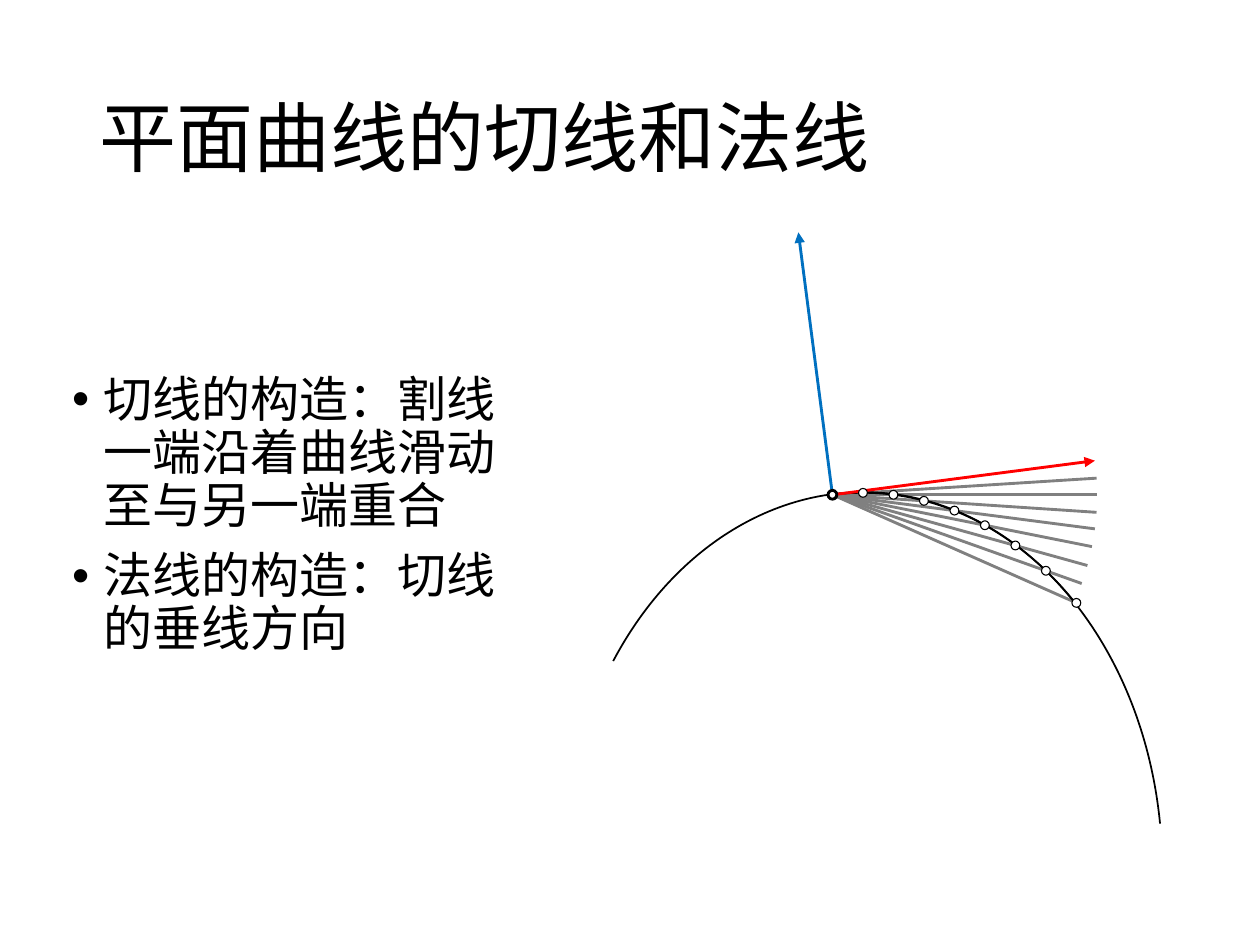
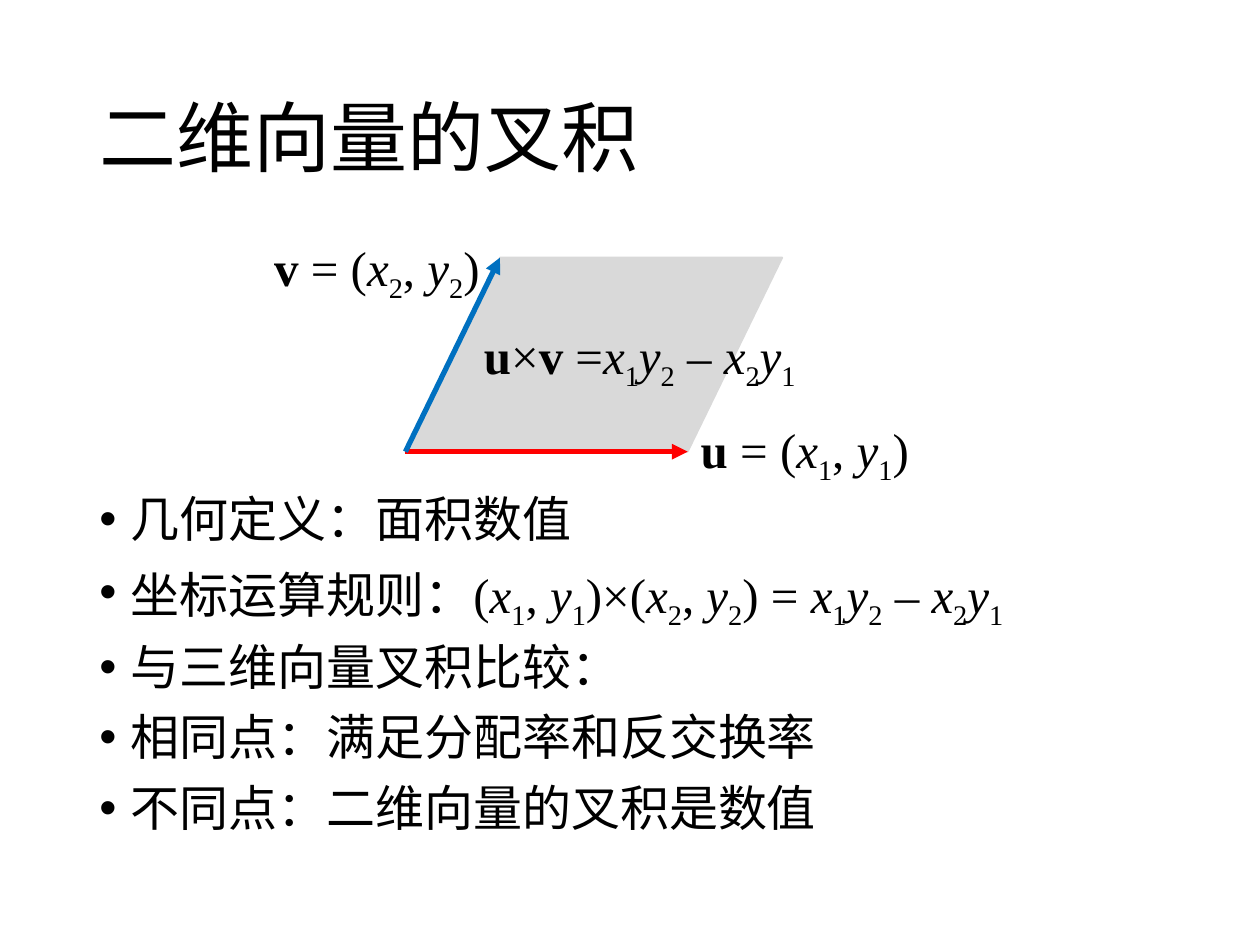
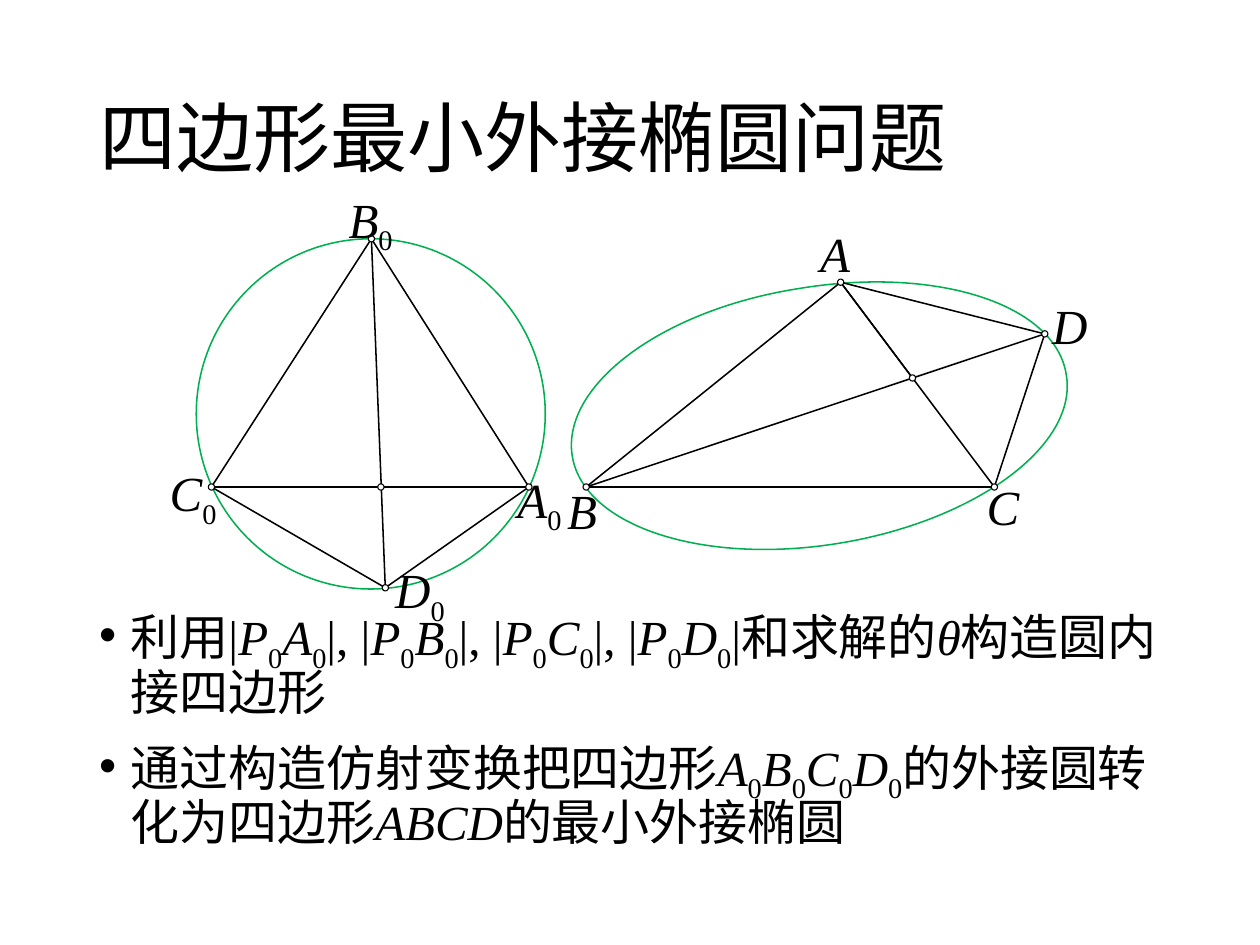
from dataclasses import dataclass
from itertools import combinations, groupby
from math import cos, radians, sin, tan

from lxml import etree
from pptx import Presentation
from pptx.dml.color import RGBColor
from pptx.enum.shapes import MSO_CONNECTOR, MSO_SHAPE
from pptx.enum.text import MSO_ANCHOR, MSO_AUTO_SIZE, PP_ALIGN
from pptx.oxml.ns import qn
from pptx.util import Inches, Pt

STRAIGHT = MSO_CONNECTOR.STRAIGHT
OVAL, PARALLELOGRAM = MSO_SHAPE.OVAL, MSO_SHAPE.PARALLELOGRAM
MIDDLE, LEFT = MSO_ANCHOR.MIDDLE, PP_ALIGN.LEFT
FIXED, GROW = MSO_AUTO_SIZE.NONE, MSO_AUTO_SIZE.SHAPE_TO_FIT_TEXT

COLORS = {"ink": "000000", "paper": "FFFFFF", "secant": "808080", "area": "D9D9D9",
          "red": "FF0000", "blue": "0070C0", "green": "00B050"}
HAN_FONT, FORMULA_FONT = "Noto Sans CJK SC", "Times New Roman"
COLUMNS, ROWS = 100, 75
CELL = Inches(0.1)
TITLE_SIZE, TEXT_SIZE = 44, 28
LINE_SPACING = 0.9


@dataclass
class Box:
    """A region measured in cells of the page grid."""
    left: float
    top: float
    width: float
    height: float

    def point(self, x, y):
        """Return the drawing position of a point given from the box's corner."""
        return round((self.left + x) * CELL), round((self.top + y) * CELL)

    def inner(self, x, y, width, height):
        """Return a box placed from this box's corner."""
        return Box(self.left + x, self.top + y, width, height)

    def frame(self):
        """Return left, top, width and height for a drawn object."""
        return (*self.point(0, 0), round(self.width * CELL), round(self.height * CELL))


TITLE_BOX = Box(6.9, 4, 86.2, 14.5)


def color(name):
    """Look up a colour by its name."""
    return RGBColor.from_string(COLORS[name])


def char_style(char):
    """Tell how a character is set: vectors bold, variables italic, indices low."""
    if char in "uv":
        return "bold"
    if char == "θ" or char.isascii() and char.isalpha():
        return "italic"
    return "index" if char.isdigit() else "plain"


def write(para, text, size=TEXT_SIZE):
    """Fill a paragraph, styling formula letters and indices by rule."""
    styles = [(style, "".join(chars)) for style, chars in groupby(text, char_style)]
    font = para.font
    font.size = Pt(size)
    font.color.rgb = color("ink")
    font.name = HAN_FONT if len(styles) == 1 and styles[0][0] == "plain" else FORMULA_FONT
    etree.SubElement(font._element, qn("a:ea")).set("typeface", HAN_FONT)
    for style, chars in styles:
        span = para.add_run()
        span.text = chars
        if style == "bold":
            span.font.bold = True
        elif style == "italic":
            span.font.italic = True
        elif style == "index":
            span.font._element.set("baseline", "-25000")


def add_page(deck, title):
    """Add a slide with its title placeholder placed and formatted."""
    page = deck.slides.add_slide(deck.slide_layouts[5])
    holder = page.shapes.title
    holder.left, holder.top, holder.width, holder.height = TITLE_BOX.frame()
    frame = holder.text_frame
    frame.auto_size, frame.vertical_anchor = FIXED, MIDDLE
    para = frame.paragraphs[0]
    para.alignment, para.line_spacing = LEFT, LINE_SPACING
    write(para, title, TITLE_SIZE)
    return page


def add_bullets(page, box, lines):
    """Add the bulleted body text."""
    frame = page.shapes.add_textbox(*box.frame()).text_frame
    frame.word_wrap = True
    for index, line in enumerate(lines):
        para = frame.add_paragraph() if index else frame.paragraphs[0]
        para.line_spacing = LINE_SPACING
        if index:
            para.space_before = Pt(10)
        props = para._p.get_or_add_pPr()
        props.set("marL", str(Inches(0.25)))
        props.set("indent", str(-Inches(0.25)))
        etree.SubElement(props, qn("a:buFont")).set("typeface", "Arial")
        etree.SubElement(props, qn("a:buChar")).set("char", "•")
        write(para, line)


def add_label(page, box, text):
    """Add a one-line formula label."""
    frame = page.shapes.add_textbox(*box.frame()).text_frame
    frame.word_wrap, frame.auto_size = False, GROW
    write(frame.paragraphs[0], text)


def add_line(page, start, end, line_color, width, arrow=False):
    """Draw a straight line, with an arrowhead at its end if asked."""
    line = page.shapes.add_connector(STRAIGHT, *start, *end)
    line.line.color.rgb = color(line_color)
    line.line.width = Pt(width)
    if arrow:
        etree.SubElement(line.line._get_or_add_ln(), qn("a:tailEnd")).set("type", "triangle")
    etree.SubElement(line._element.spPr, qn("a:effectLst"))


def style_shape(shape, fill, line_color, width):
    """Set fill and outline and drop the shadow."""
    shape.shadow.inherit = False
    if fill:
        shape.fill.solid()
        shape.fill.fore_color.rgb = color(fill)
    else:
        shape.fill.background()
    shape.line.color.rgb = color(line_color)
    shape.line.width = Pt(width)


def add_dot(page, box, center, size, width=0.63):
    """Draw a small white dot around a point of the box."""
    x, y = center
    area = box.inner(x - size / 2, y - size / 2, size, size)
    style_shape(page.shapes.add_shape(OVAL, *area.frame()), "paper", "ink", width)


def add_curve(page, box, knots, line_color, width, closed=False):
    """Draw a chain of cubic curves; every third knot lies on the curve."""
    points = [box.point(*knot) for knot in knots]
    builder = page.shapes.build_freeform(*points[0])
    builder.add_line_segments(points[1:], close=closed)
    shape = builder.convert_to_shape()
    segments = list(shape._element.iter(qn("a:lnTo")))
    for first in range(0, len(segments), 3):
        curve = etree.Element(qn("a:cubicBezTo"))
        segments[first].addprevious(curve)
        for segment in segments[first:first + 3]:
            curve.append(segment[0])
            segment.getparent().remove(segment)
    style_shape(shape, None, line_color, width)


def draw_tangent(page, box):
    """Draw secants turning into the tangent, with the normal upright on it."""
    root, reach, step, dot = (17.4, 20.8), 21, 2.42, 0.7
    secants = (23.9, 19.6, 15.5, 11.3, 7.4, 3.8, 0, -3.6)
    tangent = -7.4

    def ray(angle, line_color, arrow=False):
        """Draw a line of fixed reach from the root."""
        tip = (root[0] + reach * cos(radians(angle)), root[1] + reach * sin(radians(angle)))
        add_line(page, box.point(*root), box.point(*tip), line_color, 1.63, arrow)

    for angle in secants:
        ray(angle, "secant")
    add_curve(page, box, [(43.4, 46.9), (42.2, 34.5), (35, 24.3), (25.3, 21.4),
                          (15.6, 18.5), (5.5, 23.6), (0, 34)], "ink", 1)
    add_curve(page, box, [(36.6, 29.3), (31.5, 23), (24.5, 19.9), root], "ink", 1)
    ray(tangent, "red", arrow=True)
    ray(tangent - 90, "blue", arrow=True)
    add_dot(page, box, root, dot, 1.63)
    for index, angle in enumerate(secants):
        run = step * (len(secants) - index)
        add_dot(page, box, (root[0] + run, root[1] + run * tan(radians(angle))), dot)


def draw_cross_product(page, box):
    """Draw the parallelogram spanned by two vectors, with its labels."""
    lean = 7.5
    area = page.shapes.add_shape(PARALLELOGRAM, *box.frame())
    area.adjustments[0] = lean / box.height
    style_shape(area, "area", "area", 1)
    origin = box.point(0, box.height)
    add_line(page, origin, box.point(box.width - lean, box.height), "red", 3, arrow=True)
    add_line(page, origin, box.point(lean, 0), "blue", 3, arrow=True)
    for x, y, width, text in ((22.45, 12.35, 19.5, "u = (x1, y1)"),
                              (-11.4, -2.1, 18.8, "v = (x2, y2)"),
                              (5.25, 4.9, 28.3, "u×v =x1y2 – x2y1")):
        add_label(page, box.inner(x, y, width, 5.7), text)


def draw_quadrilateral(page, box, corners, crossing, labels):
    """Draw sides, diagonals, dots and corner names of a quadrilateral."""
    for start, end in combinations(corners, 2):
        add_line(page, box.point(*start), box.point(*end), "ink", 0.88)
    for center in (*corners, crossing):
        add_dot(page, box, center, 0.5)
    for text, x, y, width in labels:
        add_label(page, box.inner(x, y, width, 5.7), text)


def draw_circle_case(page, box):
    """Draw the quadrilateral inscribed in a circle."""
    style_shape(page.shapes.add_shape(OVAL, *box.frame()), None, "green", 0.88)
    draw_quadrilateral(
        page, box, [(26.4, 19.7), (13.9, 0), (1.2, 19.7), (15, 27.7)], (14.65, 19.7),
        [("A0", 24.5, 17.8, 5.7), ("B0", 11.1, -4.4, 5.7),
         ("C0", -3.1, 17.3, 5.9), ("D0", 14.8, 25, 6.2)])


def draw_ellipse_case(page, box):
    """Draw the quadrilateral inscribed in its smallest ellipse."""
    apex, crossing = (22.2, 1.3), (27.9, 8.9)
    add_curve(page, box, [(0.9, 15.1), (1.8, 20.7), (11.4, 23.8), (22.2, 22), (33, 20.2),
                          (41.1, 14.2), (40.1, 8.6), (39.2, 3), (29.7, 0), (18.9, 1.8),
                          (8, 3.5), (0, 9.5), (0.9, 15.1)], "green", 0.88, closed=True)
    add_line(page, box.point(*apex), box.point(*crossing), "ink", 0.88)
    draw_quadrilateral(
        page, box, [apex, (2, 17.55), (34.4, 17.55), (38.4, 5.4)], crossing,
        [("A", 19.6, -3.85, 4.4), ("B", -0.5, 16.55, 4.4),
         ("C", 32.8, 16.25, 4.6), ("D", 38, 1.9, 4.9)])


def main():
    """Build the three slides and save them."""
    deck = Presentation()
    deck.slide_width, deck.slide_height = COLUMNS * CELL, ROWS * CELL

    page = add_page(deck, "平面曲线的切线和法线")
    add_bullets(page, Box(4.74, 29.3, 38.4, 38),
                ["切线的构造：割线一端沿着曲线滑动至与另一端重合", "法线的构造：切线的垂线方向"])
    draw_tangent(page, Box(48.67, 18.47, 43.4, 46.9))

    page = add_page(deck, "二维向量的叉积")
    add_bullets(page, Box(6.9, 38.78, 86.2, 28.8),
                ["几何定义：面积数值", "坐标运算规则：(x1, y1)×(x2, y2) = x1y2 – x2y1",
                 "与三维向量叉积比较：", "相同点：满足分配率和反交换率",
                 "不同点：二维向量的叉积是数值"])
    draw_cross_product(page, Box(32.18, 20.45, 29.9, 15.4))

    page = add_page(deck, "四边形最小外接椭圆问题")
    add_bullets(page, Box(6.88, 47.74, 86.2, 19.8),
                ["利用|P0A0|, |P0B0|, |P0C0|, |P0D0|和求解的θ构造圆内接四边形",
                 "通过构造仿射变换把四边形A0B0C0D0的外接圆转化为四边形ABCD的最小外接椭圆"])
    draw_circle_case(page, Box(15.58, 18.95, 27.7, 27.8))
    draw_ellipse_case(page, Box(44.52, 21.1, 41.1, 23.8))

    deck.save("out.pptx")


if __name__ == "__main__":
    main()
